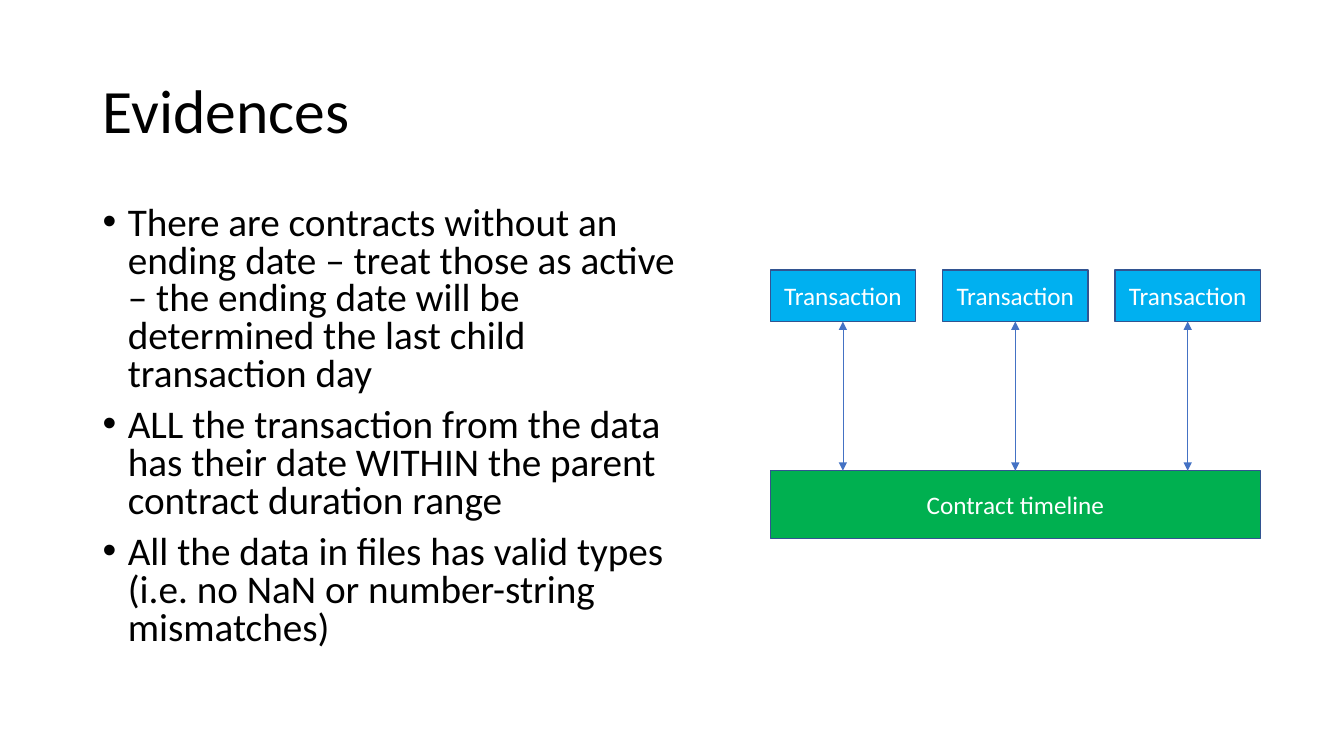
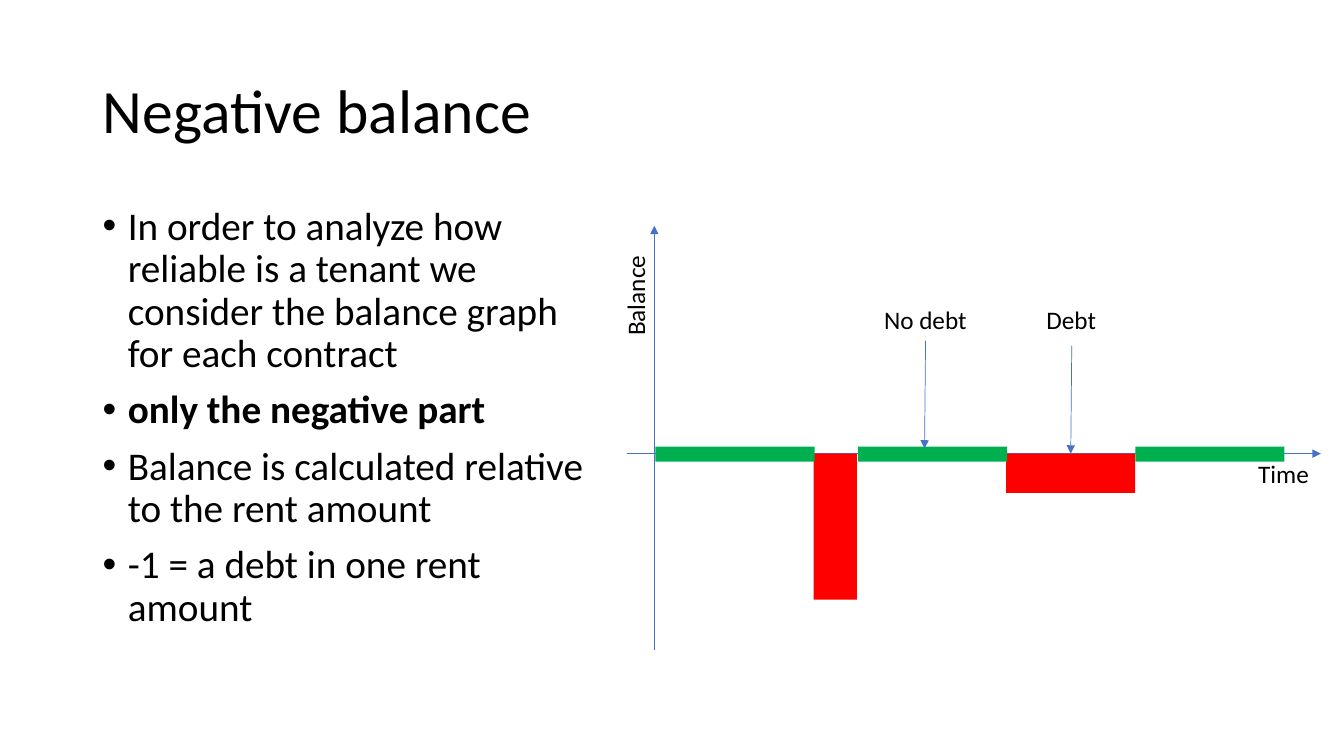
from lxml import etree
from pptx import Presentation
from pptx.dml.color import RGBColor
from pptx.enum import shapes, text
from pptx.oxml import ns
from pptx.util import Inches, Pt

FONT = "Calibri"
BLACK = RGBColor(0x00, 0x00, 0x00)
WHITE = RGBColor(0xFF, 0xFF, 0xFF)
GREEN = RGBColor(0x00, 0xB0, 0x50)
SKY = RGBColor(0x00, 0xB0, 0xF0)
RED = RGBColor(0xFF, 0x00, 0x00)
BLUE = RGBColor(0x44, 0x72, 0xC4)
NAVY = RGBColor(0x32, 0x54, 0x91)

TITLE_ONLY = 5
TIME_AXIS = 4.5
BALANCE_AXIS = 6.49


def place(shape, left, top, width, height):
    shape.left, shape.top = Inches(left), Inches(top)
    shape.width, shape.height = Inches(width), Inches(height)


def style(paragraph, size, color=BLACK, bold=False):
    font = paragraph.font
    font.name, font.size, font.bold = FONT, Pt(size), bold
    font.color.rgb = color


def add_titled_slide(deck, heading):
    slide = deck.slides.add_slide(deck.slide_layouts[TITLE_ONLY])
    title = slide.shapes.title
    place(title, 0.92, 0.4, 11.5, 1.45)
    frame = title.text_frame
    frame.text = heading
    frame.auto_size = text.MSO_AUTO_SIZE.NONE
    frame.vertical_anchor = text.MSO_ANCHOR.MIDDLE
    paragraph = frame.paragraphs[0]
    paragraph.alignment = text.PP_ALIGN.LEFT
    paragraph.line_spacing = 0.9
    style(paragraph, 44)
    return slide


def add_bullets(slide, points, width, line_spacing, bold_points=()):
    box = slide.shapes.add_textbox(
        Inches(0.92), Inches(2), Inches(width), Inches(4.76))
    frame = box.text_frame
    frame.word_wrap = True
    frame.text = "\n".join(points)
    for paragraph in frame.paragraphs:
        paragraph.line_spacing = line_spacing
        paragraph.space_before = Pt(10)
        style(paragraph, 28, bold=paragraph.text in bold_points)
        properties = paragraph._p.get_or_add_pPr()
        properties.set("marL", str(Inches(0.25)))
        properties.set("indent", str(Inches(-0.25)))
        bullet_font = etree.Element(ns.qn("a:buFont"), typeface="Arial")
        bullet = etree.Element(ns.qn("a:buChar"), char="•")
        defaults = properties.find(ns.qn("a:defRPr"))
        defaults.addprevious(bullet_font)
        defaults.addprevious(bullet)


def add_block(slide, left, top, width, height, fill, caption=None):
    block = slide.shapes.add_shape(
        shapes.MSO_SHAPE.RECTANGLE,
        Inches(left), Inches(top), Inches(width), Inches(height))
    block.shadow.inherit = False
    block.fill.solid()
    block.fill.fore_color.rgb = fill
    if caption is None:
        block.line.fill.background()
        return
    block.line.color.rgb = NAVY
    block.line.width = Pt(1)
    frame = block.text_frame
    frame.text = caption
    frame.vertical_anchor = text.MSO_ANCHOR.MIDDLE
    frame.paragraphs[0].alignment = text.PP_ALIGN.CENTER
    style(frame.paragraphs[0], 18, WHITE)


def add_arrow(slide, start, end, both_ends=False):
    arrow = slide.shapes.add_connector(
        shapes.MSO_CONNECTOR.STRAIGHT,
        *(Inches(value) for value in (*start, *end)))
    arrow.line.color.rgb = BLUE
    arrow.line.width = Pt(0.5)
    line = arrow.line._get_or_add_ln()
    for tag in ("a:headEnd", "a:tailEnd") if both_ends else ("a:tailEnd",):
        etree.SubElement(line, ns.qn(tag), type="triangle")
    etree.SubElement(arrow._element.spPr, ns.qn("a:effectLst"))


def add_label(slide, caption, left, top, width, rotation=0):
    label = slide.shapes.add_textbox(
        Inches(left), Inches(top), Inches(width), Inches(0.4))
    label.rotation = rotation
    frame = label.text_frame
    frame.word_wrap = False
    frame.auto_size = text.MSO_AUTO_SIZE.SHAPE_TO_FIT_TEXT
    frame.text = caption
    style(frame.paragraphs[0], 18)


def build_evidences(deck):
    slide = add_titled_slide(deck, "Evidences")
    add_bullets(slide, (
        "There are contracts without an ending date – treat those as active "
        "– the ending date will be determined the last child transaction day",
        "ALL the transaction from the data has their date WITHIN the parent "
        "contract duration range",
        "All the data in files has valid types (i.e. no NaN or number-string "
        "mismatches)",
    ), 6.04, 0.8)

    left, timeline_top, timeline_width = 7.64, 4.67, 4.86
    add_block(slide, left, timeline_top, timeline_width, 0.67, GREEN,
              "Contract timeline")
    count, width, top, height = 3, 1.44, 2.68, 0.51
    step = (timeline_width - width) / (count - 1)
    for index in range(count):
        transaction_left = left + index * step
        center = transaction_left + width / 2
        add_block(slide, transaction_left, top, width, height, SKY,
                  "Transaction")
        add_arrow(slide, (center, timeline_top), (center, top + height),
                  both_ends=True)


def build_negative_balance(deck):
    slide = add_titled_slide(deck, "Negative balance")
    add_bullets(slide, (
        "In order to analyze how reliable is a tenant we consider the "
        "balance graph for each contract",
        "only the negative part",
        "Balance is calculated relative to the rent amount",
        "-1 = a debt in one rent amount",
    ), 5.04, 0.9, bold_points=("only the negative part",))

    add_arrow(slide, (BALANCE_AXIS, 6.45), (BALANCE_AXIS, 2.24))
    add_arrow(slide, (6.22, TIME_AXIS), (13.1, TIME_AXIS))
    for left, width, depth in ((8.07, 0.43, 1.45), (9.98, 1.28, 0.39)):
        add_block(slide, left, TIME_AXIS, width, depth, RED)
    for left, width in ((6.5, 1.58), (8.51, 1.48), (11.26, 1.48)):
        add_block(slide, left, 4.43, width, 0.15, GREEN)

    add_label(slide, "Time", 12.38, TIME_AXIS, 0.71)
    add_label(slide, "Balance", 5.8, 2.73, 1, rotation=270)
    add_label(slide, "No debt", 8.67, 2.97, 1.03)
    add_label(slide, "Debt", 10.28, 2.97, 0.7)
    add_arrow(slide, (9.18, 3.38), (9.17, 4.45))
    add_arrow(slide, (10.63, 3.43), (10.62, TIME_AXIS))


def main():
    deck = Presentation()
    deck.slide_width, deck.slide_height = Inches(13.33), Inches(7.5)
    build_evidences(deck)
    build_negative_balance(deck)
    deck.save("out.pptx")


main()
